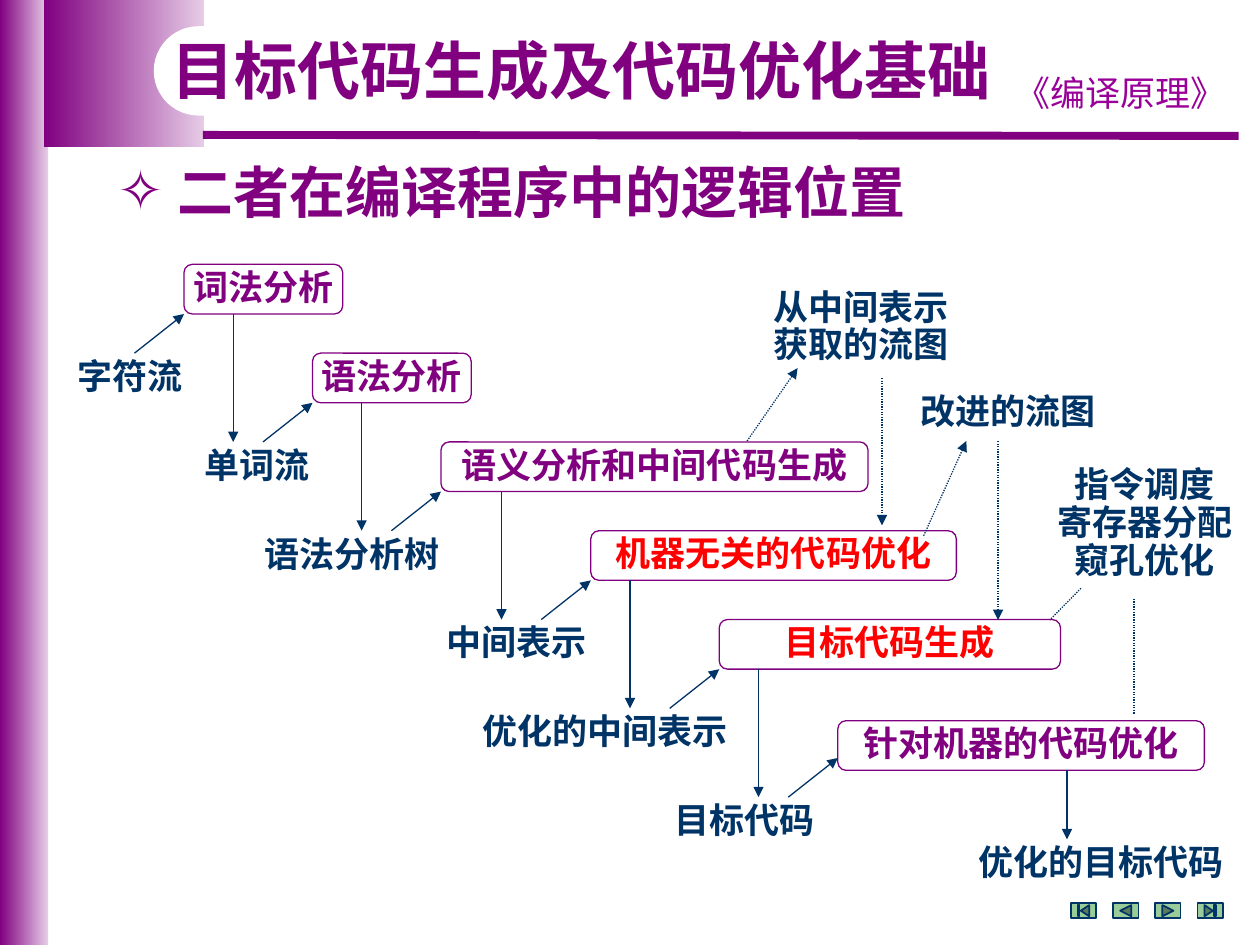
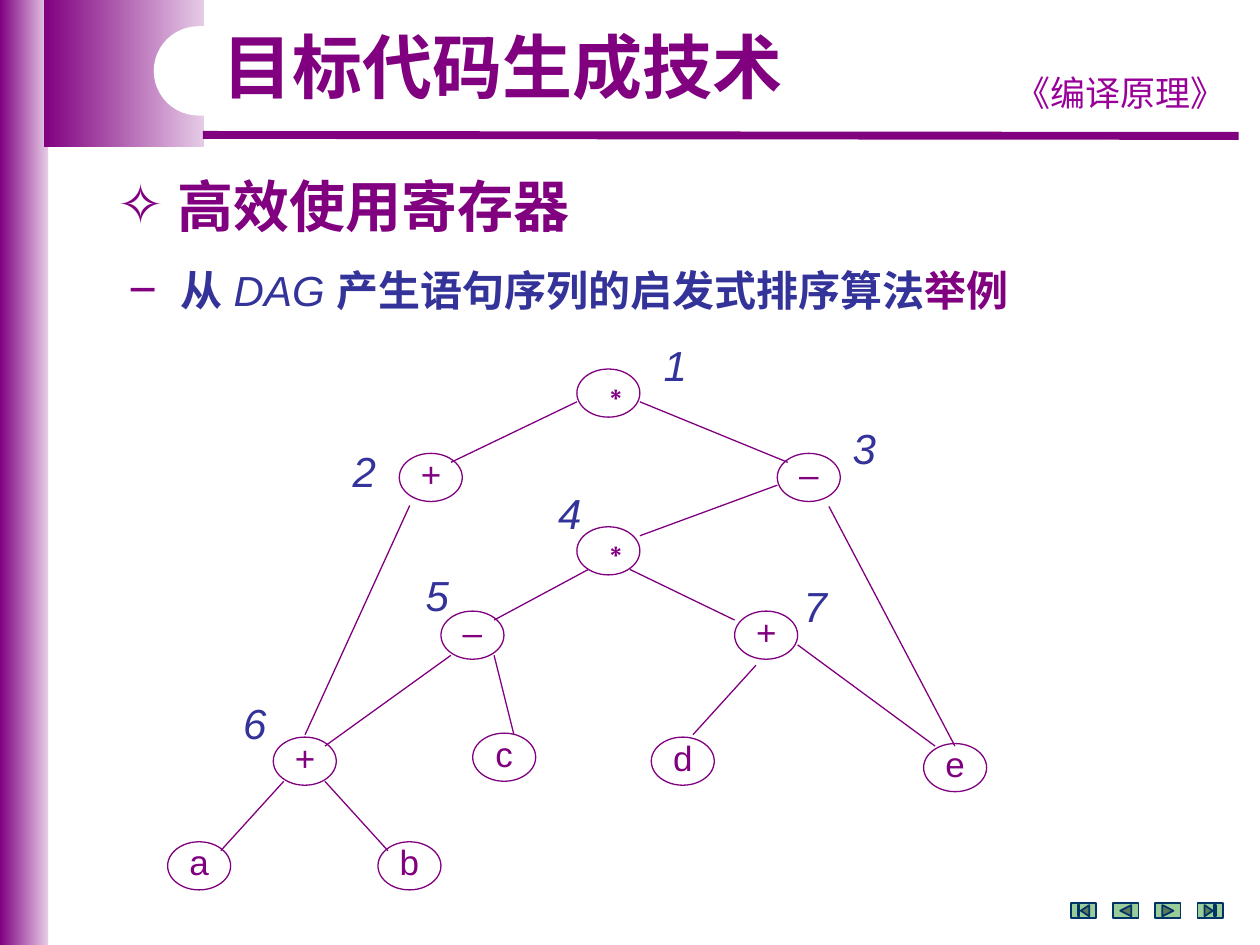
"""Builds two compiler-course slides: stages of a compiler and an ordered DAG."""
from dataclasses import dataclass

from lxml import etree
from pptx import Presentation
from pptx.dml.color import RGBColor
from pptx.enum.dml import MSO_LINE
from pptx.enum.shapes import MSO_CONNECTOR, MSO_SHAPE
from pptx.enum.text import MSO_ANCHOR, MSO_AUTO_SIZE, PP_ALIGN
from pptx.oxml.ns import qn
from pptx.util import Cm, Pt

RECT, ROUNDED, OVAL = MSO_SHAPE.RECTANGLE, MSO_SHAPE.ROUNDED_RECTANGLE, MSO_SHAPE.OVAL
NAV_BUTTONS = (MSO_SHAPE.ACTION_BUTTON_BEGINNING, MSO_SHAPE.ACTION_BUTTON_BACK_OR_PREVIOUS,
               MSO_SHAPE.ACTION_BUTTON_FORWARD_OR_NEXT, MSO_SHAPE.ACTION_BUTTON_END)
STRAIGHT = MSO_CONNECTOR.STRAIGHT
LEFT, CENTER = PP_ALIGN.LEFT, PP_ALIGN.CENTER
TOP, MIDDLE = MSO_ANCHOR.TOP, MSO_ANCHOR.MIDDLE
GROW = MSO_AUTO_SIZE.SHAPE_TO_FIT_TEXT
DOTTED = MSO_LINE.ROUND_DOT


@dataclass(frozen=True)
class Theme:
    """Colours, fonts and type sizes of the deck."""
    purple: str = "800080"
    lilac: str = "E6CCE6"
    magenta: str = "990099"
    navy: str = "003366"
    blue: str = "333399"
    red: str = "FF0000"
    green: str = "99CC99"
    white: str = "FFFFFF"
    font: str = "Arial"
    cjk_font: str = "Noto Sans CJK SC"
    course_font: str = "Comic Neue"
    heading: int = 32
    subheading: int = 24
    body: int = 20
    thin: float = 0.75


T = Theme()

STAGE_H = 1
STAGES = [
    ("词法分析", 3.71, 3.2, T.purple),
    ("语法分析", 6.3, 3.2, T.purple),
    ("语义分析和中间代码生成", 8.89, 8.61, T.purple),
    ("机器无关的代码优化", 11.91, 7.37, T.red),
    ("目标代码生成", 14.5, 6.88, T.red),
    ("针对机器的代码优化", 16.89, 7.39, T.purple),
]
LAST_STAGE_TOP, RESULT_TOP = 14.53, 16.92
INPUTS = [
    ("字符流", 1.3, 2.64),
    ("单词流", 3.86, 2.64),
    ("语法分析树", 4.9, 4.39),
    ("中间表示", 8.71, 3.4),
    ("优化的中间表示", 9.3, 5.79),
    ("目标代码", 13.31, 3.4),
]
OUTPUT_X = [4.7, 7.29, 10.11, 12.7, 15.29]
SIDE_NOTES = [
    (["从中间表示获取的流图"], 15.24, 5.72, 1.78),
    (["改进的流图"], 18.21, 7.82, 1.02),
    (["指令调度", "寄存器分配", "窥孔优化"], 20.96, 9.3, 2.54),
]
SIDE_ARROWS = [
    (15.06, 8.89, 16.08, 7.42), (17.78, 7.62, 17.78, 10.59),
    (18.62, 10.8, 19.48, 8.89), (20.12, 8.89, 20.12, 12.5),
]
SIDE_LINES = [(22.86, 12.07, 22.86, 14.4), (21.79, 11.86, 21.16, 12.5)]

DAG_NODES = [
    ("∗", 11.63, 7.44), ("+", 8.05, 9.14), ("–", 15.67, 9.14), ("∗", 11.63, 10.62),
    ("–", 8.89, 12.32), ("+", 5.51, 14.86), ("+", 14.81, 12.32), ("a", 3.38, 16.97),
    ("b", 7.62, 16.97), ("c", 9.53, 14.78), ("d", 13.13, 14.86), ("e", 18.62, 14.99),
]
DAG_EDGES = [
    (8.26, 10.19, 6.15, 14.81), (11.63, 8.1, 9.09, 9.32), (12.9, 8.1, 15.88, 9.32),
    (5.72, 15.75, 4.45, 17.15), (9.09, 13.21, 6.55, 15.04), (11.86, 11.48, 9.96, 12.5),
    (15.67, 9.78, 12.9, 10.8), (15.24, 13.41, 13.97, 14.81), (7.82, 17.15, 6.55, 15.75),
    (9.96, 13.21, 10.36, 14.81), (12.7, 11.48, 14.81, 12.5), (16.08, 13, 18.85, 15.04),
    (16.71, 10.21, 19.25, 15.04),
]
ORDER_SPOTS = [(13.13, 7.04), (6.86, 9.17), (16.94, 8.71), (11, 10.03),
               (8.33, 11.68), (4.65, 14.25), (15.95, 11.89)]


def rgb(color):
    """Return the colour object for a hex string."""
    return RGBColor.from_string(color)


def set_font(font, size, color, name=T.font, bold=False, italic=False):
    """Set size, colour, face and style, with the East Asian face."""
    font.size, font.bold, font.italic, font.name = Pt(size), bold, italic, name
    font.color.rgb = rgb(color)
    etree.SubElement(font._element, qn("a:ea")).set("typeface", T.font)


def write(sp, lines, size, color, name=T.font, bold=False, italic=False,
          align=CENTER, anchor=TOP, spacing=0.9, wrap=True):
    """Write uniformly styled paragraphs into a shape."""
    tf = sp.text_frame
    tf.word_wrap, tf.vertical_anchor = wrap, anchor
    tf.text = "\n".join(lines)
    for p in tf.paragraphs:
        p.alignment, p.line_spacing = align, spacing
        set_font(p.font, size, color, name, bold, italic)
    return tf


def add_label(s, lines, box, size, color, **style):
    """Add a text box whose height follows its text."""
    sp = s.shapes.add_textbox(*map(Cm, box))
    tf = write(sp, lines, size, color, **style)
    tf.auto_size = GROW
    return tf


def add_shape(s, kind, box, fill=None, line=None, width=T.thin):
    """Add a flat preset shape."""
    sp = s.shapes.add_shape(kind, *map(Cm, box))
    sp.shadow.inherit = False
    if fill:
        sp.fill.solid()
        sp.fill.fore_color.rgb = rgb(fill)
    else:
        sp.fill.background()
    if line:
        sp.line.color.rgb = rgb(line)
        sp.line.width = Pt(width)
    else:
        sp.line.fill.background()
    return sp


def add_gradient(s, box):
    """Add a rectangle fading from purple to lilac."""
    sp = add_shape(s, RECT, box)
    sp.fill.gradient()
    sp.fill.gradient_angle = 0
    for stop, color in zip(sp.fill.gradient_stops, (T.purple, T.lilac)):
        stop.color.rgb = rgb(color)


def add_line(s, ends, color, width=T.thin, dash=None, arrow=False):
    """Add a straight line, optionally dotted or with an arrowhead."""
    sp = s.shapes.add_connector(STRAIGHT, *map(Cm, ends))
    sp.line.color.rgb = rgb(color)
    sp.line.width = Pt(width)
    if dash:
        sp.line.dash_style = dash
    sp_pr = sp.element.spPr
    if arrow:
        etree.SubElement(sp_pr.find(qn("a:ln")), qn("a:tailEnd")).set("type", "triangle")
    etree.SubElement(sp_pr, qn("a:effectLst"))


def add_bullet(s, char, runs, box, indent, scale=100):
    """Add a one-paragraph bullet whose runs carry their own style."""
    sp = s.shapes.add_textbox(*map(Cm, box))
    tf = sp.text_frame
    tf.word_wrap, tf.auto_size = True, GROW
    p = tf.paragraphs[0]
    p_pr = p._p.get_or_add_pPr()
    p_pr.set("marL", str(Cm(indent)))
    p_pr.set("indent", str(-Cm(indent)))
    bu_color = etree.SubElement(p_pr, qn("a:buClr"))
    etree.SubElement(bu_color, qn("a:srgbClr")).set("val", T.purple)
    etree.SubElement(p_pr, qn("a:buSzPct")).set("val", str(scale * 1000))
    etree.SubElement(p_pr, qn("a:buFont")).set("typeface", T.font)
    etree.SubElement(p_pr, qn("a:buChar")).set("char", char)
    for text, style in runs:
        r = p.add_run()
        r.text = text
        set_font(r.font, **style)


def decorate_layout(s, layout):
    """Draw the bands, rule and course name, and move them to the layout."""
    for ph in list(layout.placeholders):
        if ph.placeholder_format.idx:
            ph.element.getparent().remove(ph.element)
    add_gradient(s, (0, 0, 0.97, 19.05))
    add_gradient(s, (0.89, 0, 3.23, 2.97))
    add_line(s, (4.09, 2.72, 24.97, 2.74), T.purple, 4.5)
    add_label(s, ["《编译原理》"], (20.09, 1.32, 5, 1.09), T.body, T.magenta,
              name=T.course_font, spacing=1)
    pill = add_shape(s, ROUNDED, (3.1, 0.53, 9.19, 1.8), T.white)
    pill.adjustments[0] = 0.5
    for sp in list(s.shapes):
        if not sp.is_placeholder:
            layout.shapes.element.append(sp.element)


def set_title(s, text, box, size, name=T.font):
    """Place and format the title placeholder."""
    title = s.shapes.title
    title.left, title.top, title.width, title.height = map(Cm, box)
    tf = write(title, [text], size, T.purple, name=name, bold=True, align=LEFT)
    tf.auto_size = GROW


def add_nav(s):
    """Add the row of navigation buttons."""
    for i, kind in enumerate(NAV_BUTTONS):
        add_shape(s, kind, (21.59 + 0.85 * i, 18.21, 0.51, 0.3), T.green, T.navy, 1)


def row_top(i):
    """Return the top of a row of the staircase in centimetres."""
    return 5.33 + 1.79 * i


def add_stages(s):
    """Draw the compiler stages with their inputs and outputs."""
    for i, (text, left, width, color) in enumerate(STAGES):
        top = LAST_STAGE_TOP if i == len(STAGES) - 1 else row_top(i)
        sp = add_shape(s, ROUNDED, (left, top, width, STAGE_H), T.white, T.purple)
        write(sp, [text], T.body, color, bold=True, anchor=MIDDLE, wrap=False)
        add_line(s, (left - 1, row_top(i + 1), left, row_top(i) + STAGE_H),
                 T.navy, arrow=True)
    for i, (text, left, width) in enumerate(INPUTS, 1):
        add_label(s, [text], (left, row_top(i), width, 1.02), T.body, T.navy, bold=True)
    for i, x in enumerate(OUTPUT_X):
        add_line(s, (x, row_top(i) + STAGE_H, x, row_top(i + 2)), T.navy, arrow=True)
    add_line(s, (21.51, LAST_STAGE_TOP + STAGE_H, 21.51, RESULT_TOP), T.navy, arrow=True)
    add_label(s, ["优化的目标代码"], (19.3, RESULT_TOP, 5.79, 1.02), T.body, T.navy, bold=True)


def add_side_notes(s):
    """Draw the notes to the right of the staircase and their dotted lines."""
    for lines, left, top, height in SIDE_NOTES:
        add_label(s, lines, (left, top, 4.24, height), T.body, T.navy, bold=True)
    for ends in SIDE_ARROWS + SIDE_LINES:
        add_line(s, ends, T.navy, dash=DOTTED, arrow=ends in SIDE_ARROWS)


def add_dag(s):
    """Draw the DAG with its nodes, edges and evaluation order."""
    for text, left, top in DAG_NODES:
        sp = add_shape(s, OVAL, (left, top, 1.27, 0.97), line=T.purple)
        tf = write(sp, [text], T.body, T.purple, anchor=MIDDLE, spacing=0.8)
        tf.margin_top = tf.margin_bottom = 0
    for ends in DAG_EDGES:
        add_line(s, ends, T.purple)
    for number, (left, top) in enumerate(ORDER_SPOTS, 1):
        tf = add_label(s, [str(number)], (left, top, 0.99, 0.81), T.subheading, T.blue,
                       italic=True, align=LEFT, spacing=0.8)
        tf.margin_top = tf.margin_bottom = 0


def main():
    """Build and save the deck."""
    prs = Presentation()
    prs.slide_width, prs.slide_height = Cm(25.4), Cm(19.05)
    layout = prs.slide_layouts[5]
    heading = dict(size=T.heading, color=T.purple, bold=True)
    sub = dict(size=T.subheading, color=T.blue, bold=True)

    s = prs.slides.add_slide(layout)
    decorate_layout(s, layout)
    set_title(s, "目标代码生成及代码优化基础", (3.2, 0.69, 17.09, 1.63), 36, T.cjk_font)
    add_bullet(s, "✧", [("二者", heading),
                        ("在编译程序中的逻辑位置", dict(heading, name=T.cjk_font))],
               (2.11, 3.05, 19.28, 1.6), 1.22)
    add_nav(s)
    add_stages(s)
    add_side_notes(s)

    s = prs.slides.add_slide(layout)
    set_title(s, "目标代码生成技术", (4.24, 0.53, 12.07, 1.78), 40)
    add_bullet(s, "✧", [("高效使用寄存器", heading)], (2.11, 3.33, 10.39, 1.63), 1.22)
    add_bullet(s, "−", [("从 ", sub), ("DAG ", dict(sub, bold=False, italic=True)),
                        ("产生语句序列的启发式排序算法", sub),
                        ("举例", dict(sub, color=T.purple))],
               (2.34, 5.2, 22.66, 1.45), 1.04, 117)
    add_nav(s)
    add_dag(s)
    prs.save("out.pptx")


if __name__ == "__main__":
    main()
